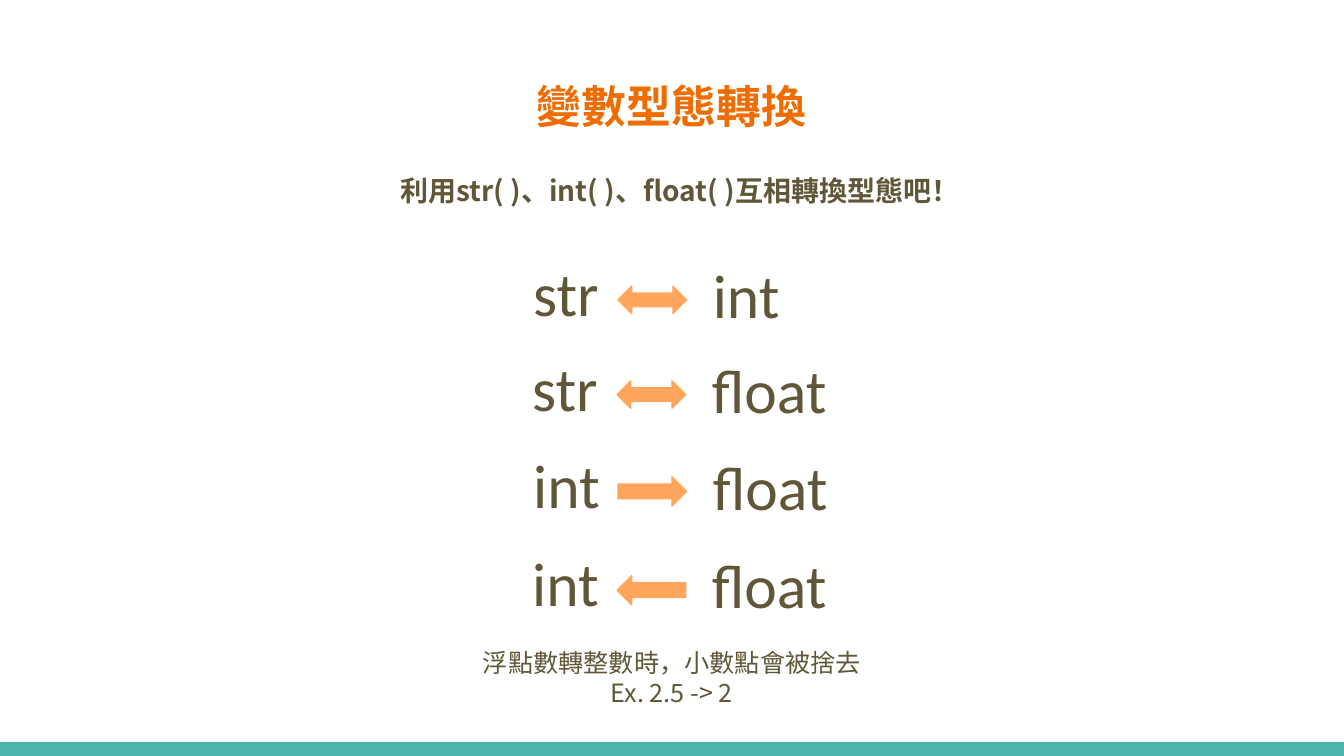
from lxml import etree
from pptx import Presentation
from pptx.dml.color import RGBColor
from pptx.enum.shapes import MSO_SHAPE
from pptx.enum.text import PP_ALIGN
from pptx.oxml.ns import qn
from pptx.util import Inches, Pt

LEFT, CENTER = PP_ALIGN.LEFT, PP_ALIGN.CENTER
BOTH, RIGHT = MSO_SHAPE.LEFT_RIGHT_ARROW, MSO_SHAPE.RIGHT_ARROW
RECT = MSO_SHAPE.RECTANGLE
HAN, LATIN = "Noto Sans CJK TC", "Calibri"
COLORS = {"title": "EF6C00", "text": "605738", "arrow": "FFA65C", "bar": "4DB6AC"}

TITLE = ["變數型態轉換"]
INTRO = ["利用str( )、int( )、float( )互相轉換型態吧！"]
NOTE = ["浮點數轉整數時，小數點會被捨去", "Ex. 2.5 -> 2"]

# left word, right word, arrow shape, turn, left edge, top, arrow drop
ROWS = [
    ("str", "int", BOTH, 0, 5.19, 2.48, 0.36),
    ("str", "float", BOTH, 0, 5.18, 3.42, 0.36),
    ("int", "float", RIGHT, 0, 5.19, 4.38, 0.35),
    ("int", "float", RIGHT, 180, 5.18, 5.36, 0.35),
]
ARROW_H = {BOTH: 0.27, RIGHT: 0.29}
WORD_W = {"int": 1.04, "float": 1.5}
SPACE = 0.14

prs = Presentation()
prs.slide_width, prs.slide_height = Inches(13.33), Inches(7.5)
slide = prs.slides.add_slide(prs.slide_layouts[6])


def rgb(name):
    return RGBColor.from_string(COLORS[name])


def add_text(lines, box, size, face, color="text", bold=False, align=LEFT, inset=(0.1, 0.05)):
    """Add a wrapped text box; inset is the left and top margin."""
    frame = slide.shapes.add_textbox(*map(Inches, box)).text_frame
    frame.word_wrap = True
    frame.margin_left, frame.margin_top = map(Inches, inset)
    frame.text = "\n".join(lines)
    for para in frame.paragraphs:
        para.alignment = align
        font = para.font
        font.size, font.name, font.bold = Pt(size), face, bold
        font.color.rgb = rgb(color)
        props = para._p.pPr.find(qn("a:defRPr"))
        etree.SubElement(props, qn("a:ea")).set("typeface", face)


def add_block(kind, box, color):
    block = slide.shapes.add_shape(kind, *map(Inches, box))
    block.shadow.inherit = False
    block.fill.solid()
    block.fill.fore_color.rgb = rgb(color)
    block.line.fill.background()
    return block


add_block(RECT, (0, 7.36, 13.33, 0.14), "bar")
add_text(TITLE, (0.45, 0.65, 12.42, 1.03), 32, HAN, "title", True, CENTER, (0.1, 0.13))
add_text(INTRO, (3.87, 1.67, 5.59, 0.44), 20, HAN, bold=True)

for first, second, kind, turn, x, y, drop in ROWS:
    add_text([first], (x, y, 0.92, 0.84), 44, LATIN)
    add_text([second], (x + 1.64, y + 0.02, WORD_W[second], 0.84), 44, LATIN,
             inset=(0.1 + SPACE, 0.05))
    arrow = add_block(kind, (x + 0.94, y + drop, 0.68, ARROW_H[kind]), "arrow")
    arrow.rotation = turn
    arrow.line.color.rgb = rgb("arrow")
    arrow.line.width = Pt(1)

add_text(NOTE, (4.66, 6.37, 4.01, 0.71), 18, HAN, align=CENTER)

prs.save("out.pptx")
